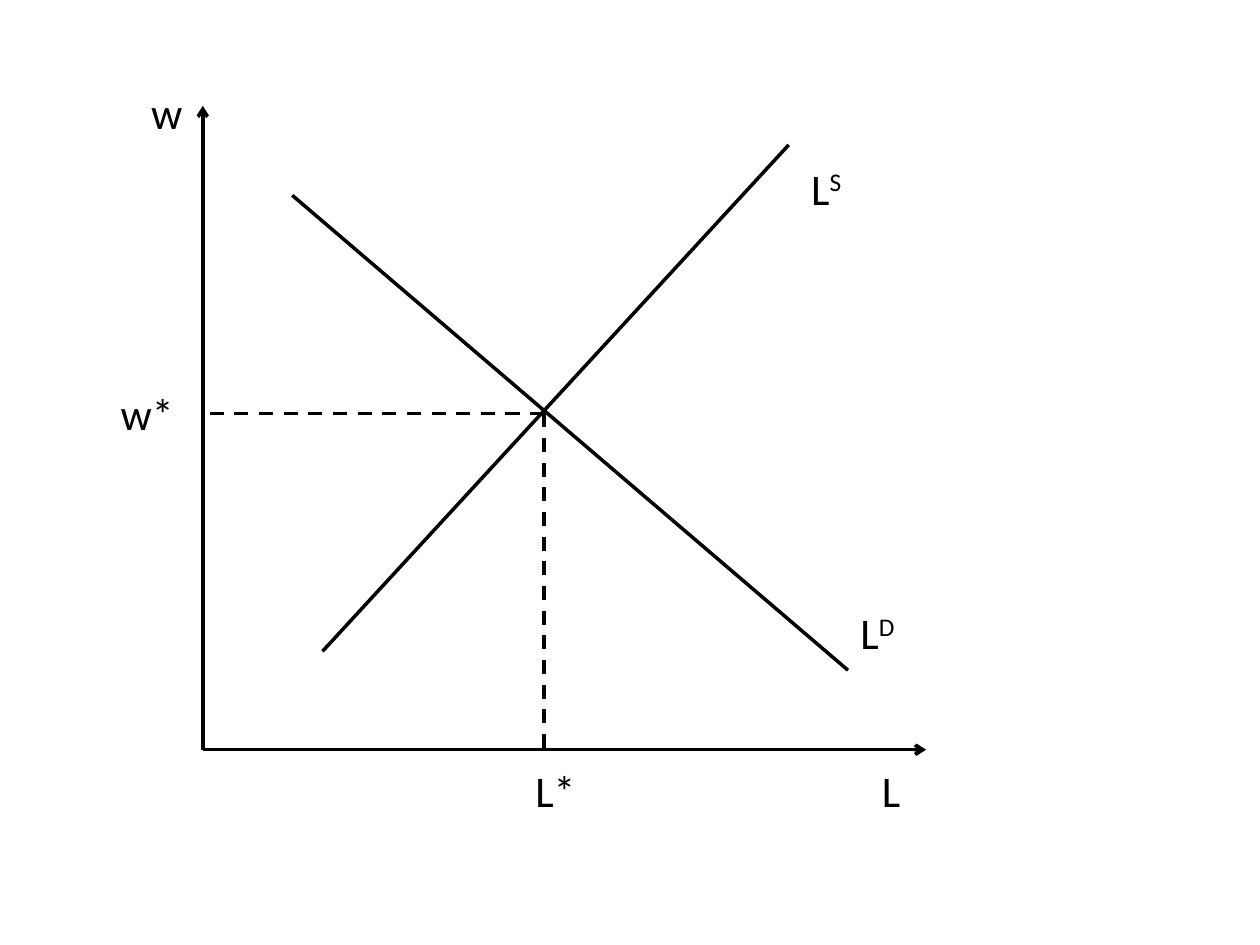
from pptx import Presentation
from pptx.dml.color import RGBColor
from pptx.enum.dml import MSO_LINE
from pptx.enum.shapes import MSO_CONNECTOR
from pptx.enum.text import MSO_AUTO_SIZE
from pptx.oxml.ns import qn
from pptx.util import Pt
from lxml.etree import SubElement

BLACK = "000000"
LEFT, BASE = 115.9, 428.4  # origin of the axes
STAR_L, STAR_W = 311, 236.2  # equilibrium point


def paint(color, value):
    color.rgb = RGBColor.from_string(value)


def add_line(slide, start, end, dash=False, arrow=False):
    ends = [Pt(v) for v in (*start, *end)]
    line = slide.shapes.add_connector(MSO_CONNECTOR.STRAIGHT, *ends)
    line.line.width = Pt(2)
    paint(line.line.color, BLACK)
    if dash:
        line.line.dash_style = MSO_LINE.DASH
    if arrow:
        SubElement(line.line._get_or_add_ln(), qn("a:tailEnd"), type="arrow")
    SubElement(line._element.spPr, qn("a:effectLst"))


def add_label(slide, left, top, width, text, power=""):
    """Add a symbol, with an optional superscript."""
    box = slide.shapes.add_textbox(Pt(left), Pt(top), Pt(width), Pt(37.4))
    frame = box.text_frame
    frame.word_wrap = False
    frame.auto_size = MSO_AUTO_SIZE.SHAPE_TO_FIT_TEXT
    para = frame.paragraphs[0]
    para.font.name = "Calibri"
    para.font.size = Pt(25)
    paint(para.font.color, BLACK)
    para.add_run().text = text
    if power:
        run = para.add_run()
        run.text = power
        run._r.get_or_add_rPr().set("baseline", "30000")


def main():
    deck = Presentation()
    deck.slide_width, deck.slide_height = Pt(720), Pt(540)
    slide = deck.slides.add_slide(deck.slide_layouts[6])

    for tip in ((LEFT, 60.5), (529.2, BASE)):
        add_line(slide, (LEFT, BASE), tip, arrow=True)

    demand = (167, 111.6), (484.6, 383)
    supply = (450.7, 82.8), (184.3, 372.2)
    for curve in (demand, supply):
        add_line(slide, *curve)

    for foot in ((STAR_L, BASE), (LEFT, STAR_W)):
        add_line(slide, (STAR_L, STAR_W), foot, dash=True)

    labels = (
        (456.5, 88.6, 33.1, "L", "S"),
        (484.6, 342.7, 35.3, "L", "D"),
        (496.8, 432.7, 25.2, "L"),
        (79.2, 45.4, 32.4, "w"),
        (61.9, 217.4, 45.4, "w*"),
        (298.8, 432.7, 37.4, "L*"),
    )
    for label in labels:
        add_label(slide, *label)

    deck.save("out.pptx")


if __name__ == "__main__":
    main()
